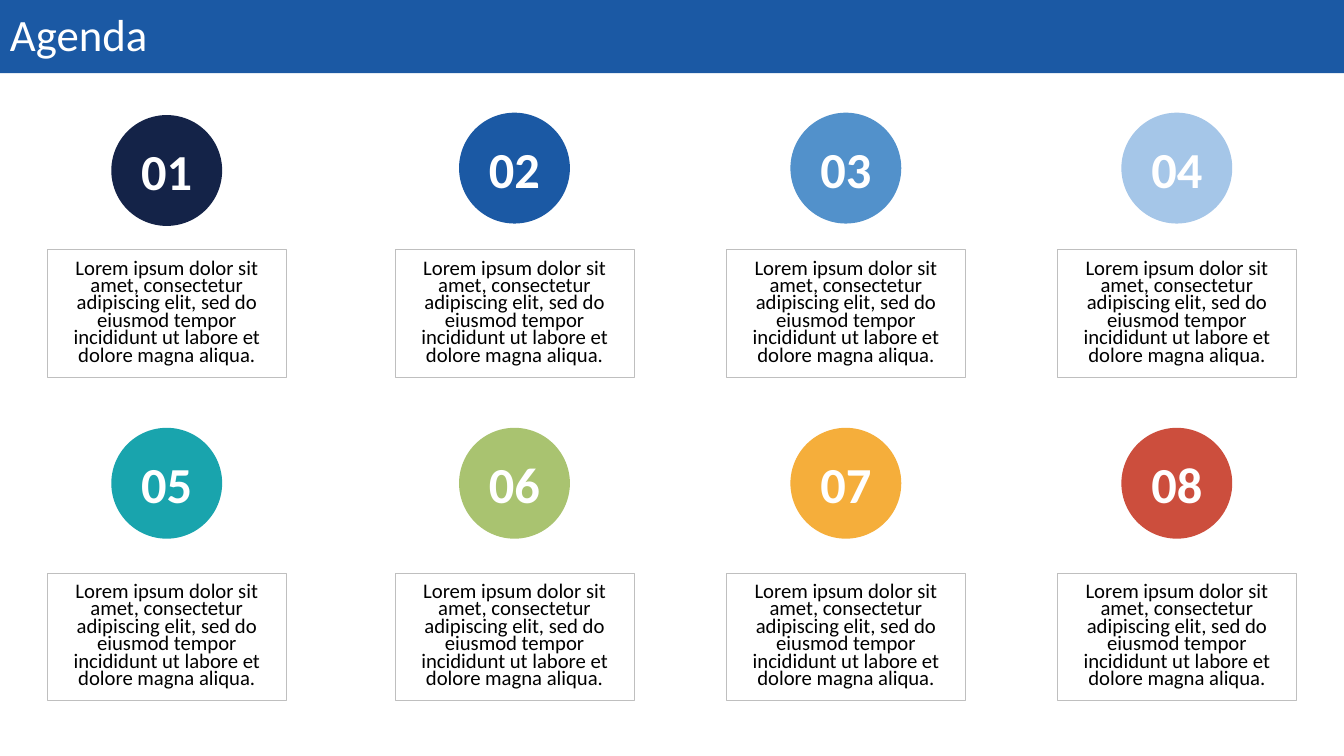
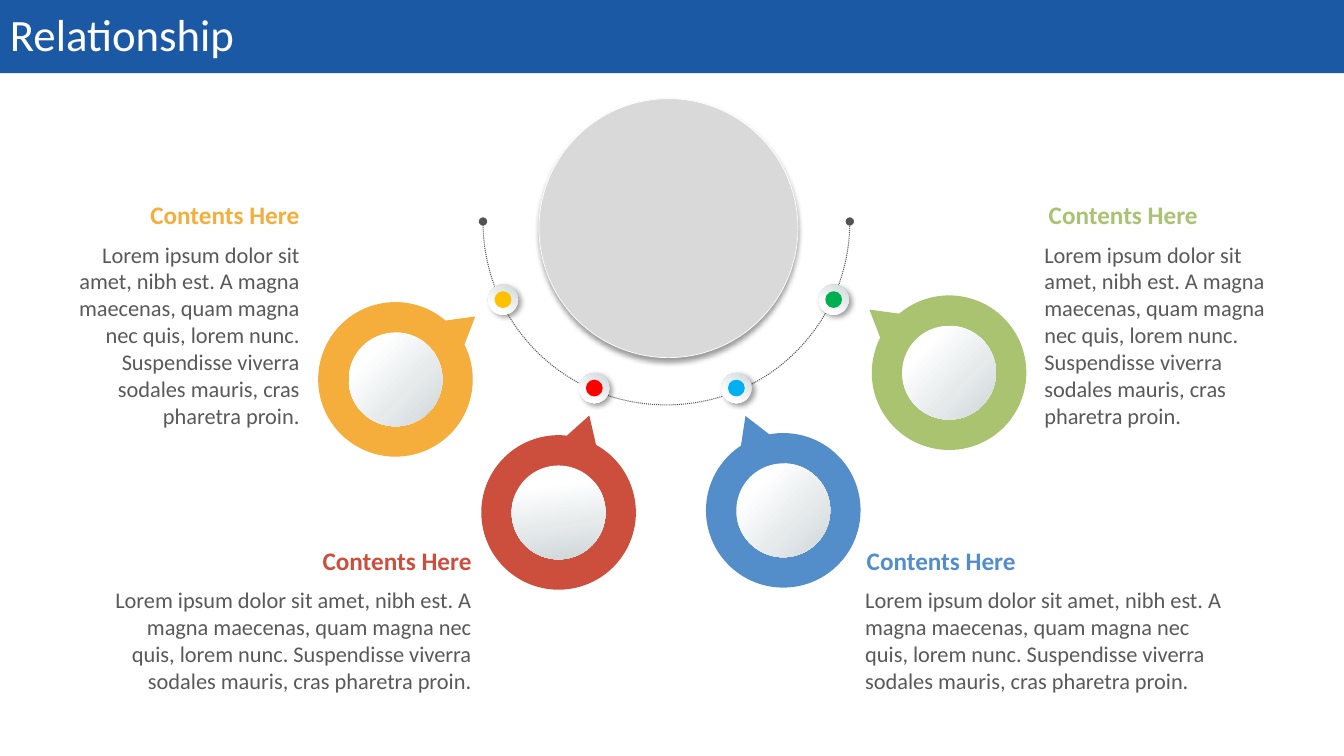
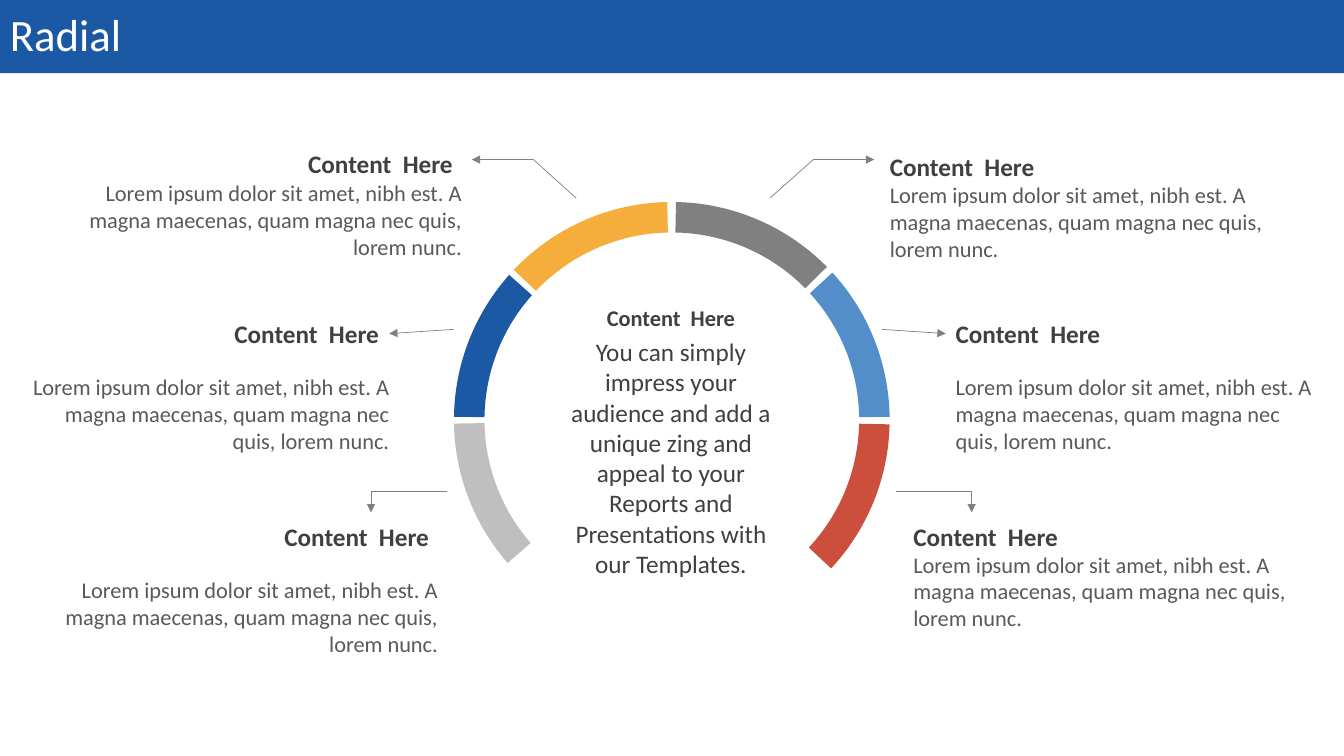
from math import cos, radians, sin, tan

from lxml.etree import SubElement
from pptx import Presentation
from pptx.dml.color import RGBColor
from pptx.enum.dml import MSO_LINE
from pptx.enum.shapes import MSO_CONNECTOR, MSO_SHAPE
from pptx.enum.text import MSO_ANCHOR, MSO_AUTO_SIZE, PP_ALIGN
from pptx.oxml import parse_xml
from pptx.oxml.ns import nsdecls, qn
from pptx.util import Pt

FONT = "Calibri"
WHITE, BLACK = "FFFFFF", "000000"
NAVY, BLUE, SKY, PALE = "142348", "1B59A4", "5291CB", "A5C6E8"
TEAL, GREEN, AMBER, RED, AZURE = "19A4AD", "A9C370", "F5AE3B", "CC4E3D", "538ECB"
SILVER, GREY, BODY, DARK = "BFBFBF", "808080", "595959", "404040"
LEFT, CENTER, RIGHT = PP_ALIGN.LEFT, PP_ALIGN.CENTER, PP_ALIGN.RIGHT

AGENDA_TEXT = ("Lorem ipsum dolor sit amet, consectetur adipiscing elit, sed do "
               "eiusmod tempor incididunt ut labore et dolore magna aliqua.")
SHORT_TEXT = ("Lorem ipsum dolor sit amet, nibh est. A magna maecenas, "
              "quam magna nec quis, lorem nunc.")
LONG_TEXT = SHORT_TEXT + " Suspendisse viverra sodales mauris, cras pharetra proin."
CENTER_TEXT = ("You can simply impress your audience and add a unique zing and "
               "appeal to your Reports and Presentations with our Templates.")
RADIAL_HEADING = "Content  Here"
DISC_STOPS = [(23, WHITE), (63, "E6EAEB"), (100, "CDD5D8")]
PIN_STOPS = [(0, "CDD5D8"), (37, "E6EAEB"), (77, WHITE)]


def rgb(color):
    return RGBColor.from_string(color)


def style(sp, fill=None, line=None, width=0.5):
    sp.shadow.inherit = False
    if fill:
        sp.fill.solid()
        sp.fill.fore_color.rgb = rgb(fill)
    else:
        sp.fill.background()
    if line:
        sp.line.color.rgb = rgb(line)
        sp.line.width = Pt(width)
    else:
        sp.line.fill.background()
    return sp


def add_preset(s, kind, x, y, w, h, fill=None, line=None, width=0.5):
    sp = s.shapes.add_shape(kind, Pt(x), Pt(y), Pt(w), Pt(h))
    return style(sp, fill, line, width)


def add_circle(s, cx, cy, d, fill=None, line=None):
    return add_preset(s, MSO_SHAPE.OVAL, cx - d / 2, cy - d / 2, d, d, fill, line)


def add_gradient(sp, stops, angle):
    stop_xml = "".join(
        f'<a:gs pos="{pos * 1000}"><a:srgbClr val="{color}"/></a:gs>'
        for pos, color in stops)
    grad = parse_xml(
        f'<a:gradFill {nsdecls("a")} rotWithShape="1"><a:gsLst>{stop_xml}</a:gsLst>'
        f'<a:lin ang="{angle * 60000}" scaled="0"/></a:gradFill>')
    sp_pr = sp.element.spPr
    sp_pr.replace(sp_pr.find(qn("a:noFill")), grad)


def add_shadow(sp, alpha, distance, angle):
    effects = sp.element.spPr.find(qn("a:effectLst"))
    shadow = SubElement(effects, qn("a:outerShdw"), blurRad=str(Pt(4)),
                        dist=str(Pt(distance)), dir=str(angle * 60000),
                        algn="ctr", rotWithShape="0")
    color = SubElement(shadow, qn("a:srgbClr"), val=BLACK)
    SubElement(color, qn("a:alpha"), val=str(alpha * 1000))


def add_ends(sp, head, tail):
    ln = sp.element.spPr.find(qn("a:ln"))
    SubElement(ln, qn("a:headEnd"), type=head)
    SubElement(ln, qn("a:tailEnd"), type=tail)


def add_outline(s, points, close=False, **look):
    points = [(Pt(x), Pt(y)) for x, y in points]
    builder = s.shapes.build_freeform(*points[0])
    builder.add_line_segments(points[1:], close=close)
    return style(builder.convert_to_shape(), **look)


def add_arc_outline(s, cx, cy, radius, angles, extra=(), close=False, **look):
    def on_circle(angle, along=0):
        a = radians(angle)
        return (cx + radius * (cos(a) - along * sin(a)),
                cy + radius * (sin(a) + along * cos(a)))

    nodes = [on_circle(angle) for angle in angles]
    sp = add_outline(s, nodes + list(extra), close, **look)
    lines = list(sp.element.spPr.iter(qn("a:lnTo")))
    for line, start, end in zip(lines, angles, angles[1:]):
        reach = 4 / 3 * tan(radians(end - start) / 4)
        curve = parse_xml(f'<a:cubicBezTo {nsdecls("a")}/>')
        for x, y in [on_circle(start, reach), on_circle(end, -reach), on_circle(end)]:
            SubElement(curve, qn("a:pt"), x=str(Pt(x) - sp.left), y=str(Pt(y) - sp.top))
        line.getparent().replace(line, curve)
    return sp


def write(sp, text, size, color, bold=False, align=LEFT, spacing=None,
          anchor=MSO_ANCHOR.MIDDLE):
    tf = sp.text_frame
    tf.word_wrap = True
    tf.vertical_anchor = anchor
    p = tf.paragraphs[0]
    p.alignment = align
    if spacing:
        p.line_spacing = spacing
    r = p.add_run()
    r.text = text
    r.font.name = FONT
    r.font.size = Pt(size)
    r.font.bold = bold
    r.font.color.rgb = rgb(color)


def add_text(s, x, y, w, h, text, size, color, bold=False, align=LEFT,
             anchor=MSO_ANCHOR.TOP, inset=7.2):
    sp = s.shapes.add_textbox(Pt(x), Pt(y), Pt(w), Pt(h))
    write(sp, text, size, color, bold, align, anchor=anchor)
    tf = sp.text_frame
    tf.margin_left = tf.margin_right = Pt(inset)
    tf.auto_size = MSO_AUTO_SIZE.SHAPE_TO_FIT_TEXT


def add_titled_slide(prs, title):
    s = prs.slides.add_slide(prs.slide_layouts[6])
    band = add_preset(s, MSO_SHAPE.RECTANGLE, 0, 0, 960, 52.2, BLUE)
    write(band, title, 32, WHITE, spacing=0.9)
    return s


def add_agenda(prs):
    s = add_titled_slide(prs, "Agenda")
    columns = [33.7, 282.1, 518.8, 755.2]
    rows = [(178.2, [82.2, 80.5, 80.5, 80.5], [NAVY, BLUE, SKY, PALE]),
            (409.2, [305.6] * 4, [TEAL, GREEN, AMBER, RED])]
    number = 0
    for box_y, circle_tops, colors in rows:
        for x, circle_y, color in zip(columns, circle_tops, colors):
            number += 1
            box = add_preset(s, MSO_SHAPE.RECTANGLE, x, box_y, 170.8, 91.2,
                             line=SILVER, width=0.25)
            write(box, AGENDA_TEXT, 14.8, BLACK, align=CENTER, spacing=0.7)
            circle = add_circle(s, x + 85.4, circle_y + 39.6, 79.2, color)
            write(circle, f"{number:02}", 36, WHITE, bold=True, align=CENTER)


def add_pointer(s, cx, cy, rotation, color, shade):
    radius, reach, tip, half_base = 55.2, 72.6, 28, 11.4
    width = radius + reach * cos(radians(tip))
    turn = radians(rotation)
    offset = width / 2 - radius
    x = cx + offset * cos(turn) - offset
    y = cy + offset * sin(turn)
    point = (x + reach * cos(radians(tip)), y + reach * sin(radians(tip)))
    angles = [tip + half_base, 90, 180, 270, 360, 360 + tip - half_base]
    sp = add_arc_outline(s, x, y, radius, angles, [point], close=True, fill=color)
    sp.rotation = rotation
    add_gradient(add_circle(s, cx, cy, 67), DISC_STOPS, shade)


def add_pin(s, cx, cy, color):
    pin = add_circle(s, cx, cy, 21.6)
    add_gradient(pin, PIN_STOPS, 125)
    add_shadow(pin, 38, 2.8, 39)
    add_circle(s, cx, cy, 12, color)


def add_relationship(prs):
    s = add_titled_slide(prs, "Relationship")
    hub = add_circle(s, 477.5, 163, 185, "D9D9D9", WHITE)
    add_shadow(hub, 40, 3, 90)
    orbit = add_arc_outline(s, 476, 158.2, 131, [180, 90, 0],
                            line="535353", width=0.75)
    orbit.line.dash_style = MSO_LINE.ROUND_DOT
    add_ends(orbit, "oval", "oval")
    for pointer in [(677.9, 266.2, 190.4, GREEN, 44),
                    (559.5, 364.5, 220.2, AZURE, 44),
                    (399, 366, 259.6, RED, 82),
                    (282.5, 271, 293.8, AMBER, 44)]:
        add_pointer(s, *pointer)
    for pin in [(595.5, 214, "00B050"), (526, 277.2, "00B0F0"),
                (424.5, 277.2, "FF0000"), (359.3, 214, "FFC000")]:
        add_pin(s, *pin)
    for color, head_x, head_w, body_x, body_w, y, body_h, align in [
            (GREEN, 746, 109.5, 746, 166.5, 138.4, 143, LEFT),
            (AZURE, 618, 107.5, 618, 255.5, 385.4, 85, LEFT),
            (RED, 229.5, 107.3, 81.3, 255.5, 385.4, 85, RIGHT),
            (AMBER, 104.5, 109.3, 47.5, 166.5, 138.4, 143, RIGHT)]:
        add_text(s, head_x, y, head_w, 29, "Contents Here", 18, color, True,
                 RIGHT, MSO_ANCHOR.BOTTOM, inset=0)
        add_text(s, body_x, y + 30, body_w, body_h, LONG_TEXT, 16, BODY,
                 align=align, inset=0)


def add_arc_segment(s, start, end, color):
    arc = add_preset(s, MSO_SHAPE.BLOCK_ARC, 324.3, 144.3, 311.2, 311.2, color)
    for i, value in enumerate([start * 0.6, end * 0.6, 0.07]):
        arc.adjustments[i] = value


def add_arrow(s, x1, y1, x2, y2):
    line = s.shapes.add_connector(MSO_CONNECTOR.STRAIGHT, Pt(x1), Pt(y1), Pt(x2), Pt(y2))
    line.line.color.rgb = rgb(GREY)
    line.line.width = Pt(0.5)
    add_ends(line, "none", "triangle")
    SubElement(line.element.spPr, qn("a:effectLst"))


def add_radial(prs):
    s = add_titled_slide(prs, "Radial")
    for segment in [(1.2, 43, RED), (138.9, 179, SILVER), (180.8, 221.7, BLUE),
                    (317.5, 359.2, AZURE), (223.5, 268.8, AMBER),
                    (271.1, 315.4, GREY)]:
        add_arc_segment(s, *segment)
    for head_x, head_y, head_w, body_x, body_y, body_w, align in [
            (628.5, 104.5, 222.5, 628.5, 126, 301.5, LEFT),
            (675.5, 223.5, 222.5, 675.5, 263, 273.5, LEFT),
            (645.3, 368.5, 222.5, 645.3, 389.8, 294.5, LEFT),
            (117.5, 102.6, 213, 35.5, 124.3, 301.5, RIGHT),
            (64.8, 223.5, 213, 11.2, 263, 274, RIGHT),
            (100, 368.5, 213.5, 20.4, 408, 299.5, RIGHT)]:
        add_text(s, head_x, head_y, head_w, 29, RADIAL_HEADING, 18, DARK, True, align)
        add_text(s, body_x, body_y, body_w, 65.5, SHORT_TEXT, 16, BODY, align=align)
    add_text(s, 397.3, 213.4, 164, 26.5, RADIAL_HEADING, 16, DARK, True, CENTER)
    add_text(s, 397.3, 236.8, 164, 181.5, CENTER_TEXT, 18, DARK, align=CENTER)
    for points in [[(550, 141.5), (581, 114), (624.5, 114)],
                   [(411.6, 141.5), (381, 114), (337, 114)],
                   [(319, 350.8), (265, 350.8), (265, 366)],
                   [(640, 350.8), (694, 350.8), (694, 366)]]:
        add_ends(add_outline(s, points, line=GREY), "none", "triangle")
    add_arrow(s, 630, 235.3, 675.5, 238.3)
    add_arrow(s, 324, 235.3, 278, 238.3)


def main():
    prs = Presentation()
    prs.slide_width, prs.slide_height = Pt(960), Pt(540)
    add_agenda(prs)
    add_relationship(prs)
    add_radial(prs)
    prs.save("out.pptx")


if __name__ == "__main__":
    main()
